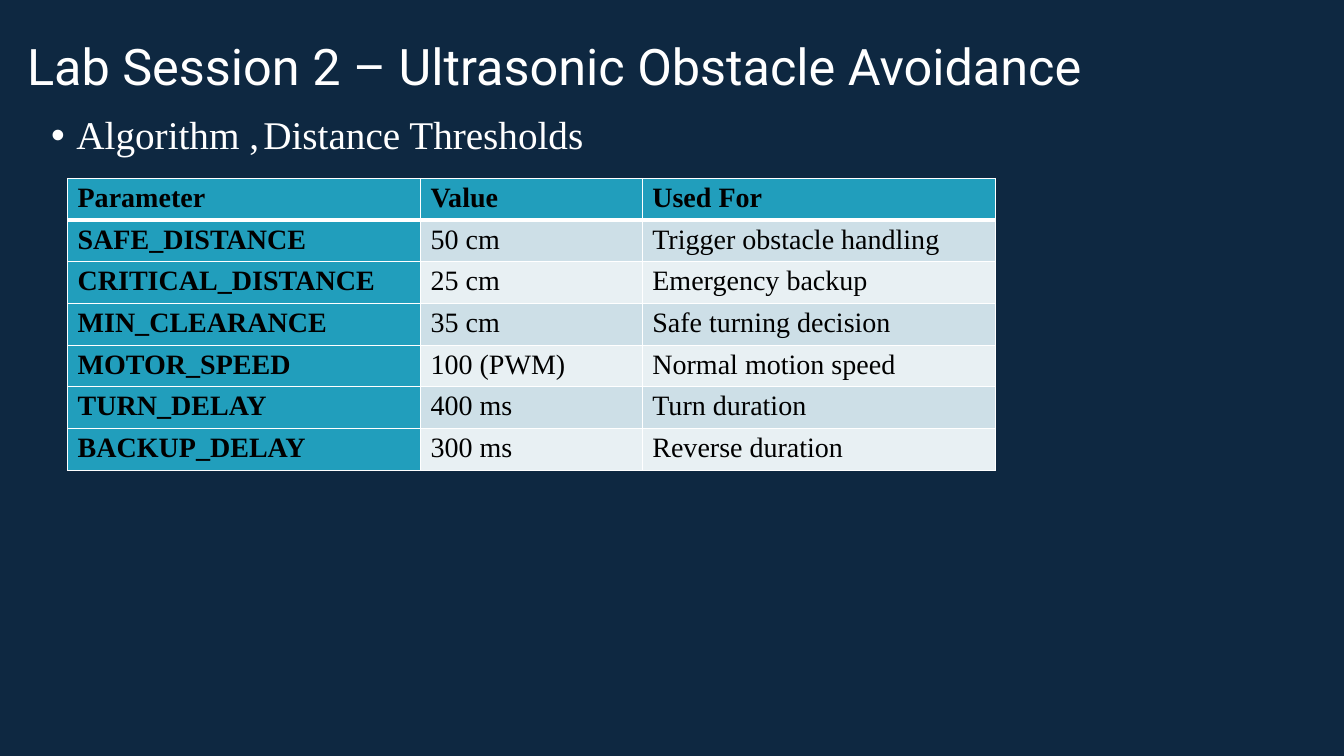
"""Build a slide on the distance thresholds of an ultrasonic robot lab."""
import pptx
import pptx.dml.color
import pptx.enum.text
import pptx.oxml
import pptx.oxml.ns
import pptx.util

Inches = pptx.util.Inches
Pt = pptx.util.Pt
Anchor = pptx.enum.text.MSO_ANCHOR


def tint(code):
    return pptx.dml.color.RGBColor.from_string(code)


def write(para, text, size=20, font="Times New Roman", color="000000", bold=False):
    run = para.add_run()
    run.text = text
    run.font.size = Pt(size)
    run.font.name = font
    run.font.color.rgb = tint(color)
    run.font.bold = bold


def paint(item, code):
    item.fill.solid()
    item.fill.fore_color.rgb = tint(code)


def node(xml):
    return pptx.oxml.parse_xml(xml.replace(" ", f" {pptx.oxml.ns.nsdecls('a')} ", 1))


class Deck:
    white = "FFFFFF"
    navy = "0E2841"
    teal = "219EBC"
    bands = ("CDDFE7", "E8F0F3")

    def __init__(self):
        self.prs = pptx.Presentation()
        self.prs.slide_width = Inches(13.33)
        self.prs.slide_height = Inches(7.5)
        self.slide = self.prs.slides.add_slide(self.prs.slide_layouts[6])
        paint(self.slide.background, self.navy)

    def text(self, left, top, width, height, runs, anchor=Anchor.TOP, bullet=False):
        box = self.slide.shapes.add_textbox(
            Inches(left), Inches(top), Inches(width), Inches(height))
        frame = box.text_frame
        frame.word_wrap = True
        frame.vertical_anchor = anchor
        para = frame.paragraphs[0]
        if bullet:
            props = para._p.get_or_add_pPr()
            props.set("marL", str(Inches(0.25)))
            props.set("indent", str(Inches(-0.25)))
            props.append(node('<a:buFont typeface="Arial"/>'))
            props.append(node('<a:buChar char="•"/>'))
        para.line_spacing = 0.9
        for words, style in runs:
            write(para, words, **style)

    def edge(self, cell, row):
        props = cell._tc.get_or_add_tcPr()
        thick = {"T": row == 1, "B": row == 0}
        for side in "LRTB":
            width = Pt(3 if thick.get(side) else 1)
            props.append(node(
                f'<a:ln{side} w="{width}"><a:solidFill><a:srgbClr val="{self.white}"/>'
                f'</a:solidFill></a:ln{side}>'))

    def table(self, left, top, widths, height, rows):
        grid = self.slide.shapes.add_table(
            len(rows), len(widths), Inches(left), Inches(top),
            Inches(sum(widths)), Inches(height * len(rows))).table
        grid.first_col = True
        grid.horz_banding = False
        for col, width in zip(grid.columns, widths):
            col.width = Inches(width)
        for r, row in enumerate(rows):
            grid.rows[r].height = Inches(height)
            for c, words in enumerate(row):
                cell = grid.cell(r, c)
                head = r == 0 or c == 0
                cell.margin_top = cell.margin_bottom = Inches(0.04)
                self.edge(cell, r)
                paint(cell, self.teal if head else self.bands[(r - 1) % 2])
                write(cell.text_frame.paragraphs[0], words, bold=head)


def main():
    deck = Deck()
    title = dict(size=36, font="Roboto", color=deck.white)
    body = dict(size=28, color=deck.white)
    deck.text(0.17, 0.05, 11.5, 1.27,
              [("Lab Session 2 – Ultrasonic Obstacle Avoidance", title)],
              anchor=Anchor.MIDDLE)
    deck.text(0.41, 1.1, 11.5, 6.4,
              [("Algorithm ,", body), (" ", dict(size=12)),
               ("Distance Thresholds", body)], bullet=True)
    deck.table(0.67, 1.77, (3.5, 2.2, 3.5), 0.41, [
        ("Parameter", "Value", "Used For"),
        ("SAFE_DISTANCE", "50 cm", "Trigger obstacle handling"),
        ("CRITICAL_DISTANCE", "25 cm", "Emergency backup"),
        ("MIN_CLEARANCE", "35 cm", "Safe turning decision"),
        ("MOTOR_SPEED", "100 (PWM)", "Normal motion speed"),
        ("TURN_DELAY", "400 ms", "Turn duration"),
        ("BACKUP_DELAY", "300 ms", "Reverse duration"),
    ])
    deck.prs.save("out.pptx")


if __name__ == "__main__":
    main()
